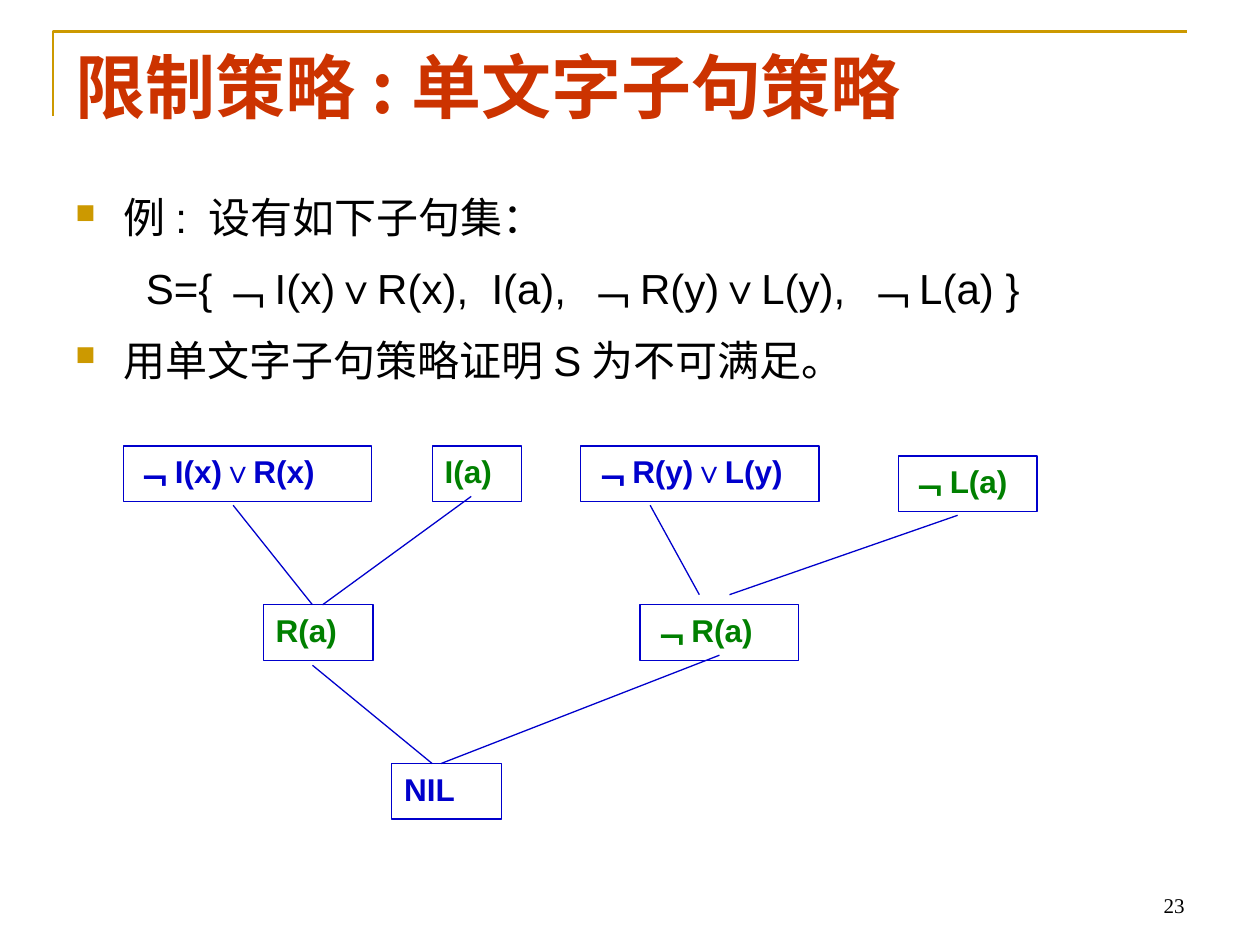
from typing import NamedTuple

from lxml.etree import SubElement
from pptx import Presentation
from pptx.dml.color import RGBColor
from pptx.enum.shapes import MSO_CONNECTOR, MSO_SHAPE
from pptx.enum.text import MSO_ANCHOR, MSO_AUTO_SIZE, PP_ALIGN
from pptx.oxml.ns import qn
from pptx.util import Inches, Pt

BLUE, GREEN, GOLD, RED, BLACK = "0000CC", "008000", "CC9900", "CC3300", "000000"
SANS, HAN, SERIF = "Arial", "Noto Sans CJK SC", "Times New Roman"
HIGH = 0.44


class Clause(NamedTuple):
    text: str
    left: float
    top: float
    width: float
    color: str
    sign: str = ""  # leading sign set in the Han font


class Link(NamedTuple):
    x1: float
    y1: float
    x2: float
    y2: float


class Item(NamedTuple):
    text: str
    bullet: bool


CLAUSES = [
    Clause("﹁I(x)∨R(x)", 0.98, 3.54, 1.97, BLUE),
    Clause("I(a)", 3.43, 3.54, 0.71, GREEN),
    Clause("﹁R(y)∨L(y)", 4.61, 3.54, 1.89, BLUE),
    Clause("﹁L(a)", 7.13, 3.62, 1.1, GREEN),
    Clause("R(a)", 2.09, 4.8, 0.87, GREEN),
    Clause("R(a)", 5.08, 4.8, 1.26, GREEN, "﹁"),
    Clause("NIL", 3.11, 6.06, 0.87, BLUE),
]
LINKS = [
    Link(1.85, 4.01, 2.48, 4.8),
    Link(3.74, 3.94, 2.56, 4.8),
    Link(5.16, 4.01, 5.55, 4.72),
    Link(7.6, 4.09, 5.79, 4.72),
    Link(2.48, 5.28, 3.43, 6.06),
    Link(5.71, 5.2, 3.5, 6.06),
]
ITEMS = [
    Item("例: 设有如下子句集：", True),
    Item("S={﹁I(x)∨R(x),  I(a), ﹁R(y)∨L(y), ﹁L(a) }", False),
    Item("用单文字子句策略证明S为不可满足。", True),
]


def rgb(code: str) -> RGBColor:
    return RGBColor.from_string(code)


def style(para, size: float, name: str, color: str, bold: bool = False) -> None:
    font = para.font
    font.size, font.name, font.bold = Pt(size), name, bold
    font.color.rgb = rgb(color)


def add_text(slide, left: float, top: float, width: float, height: float):
    """Add a wrapping text box and return its frame."""
    box = slide.shapes.add_textbox(
        Inches(left), Inches(top), Inches(width), Inches(height))
    box.text_frame.word_wrap = True
    return box.text_frame


def add_corner(slide) -> None:
    """Draw the gold rule along the top left."""
    build = slide.shapes.build_freeform(Inches(0.42), Inches(0.92), scale=1.0)
    build.add_line_segments(
        [(Inches(0.42), Inches(0.25)), (Inches(9.42), Inches(0.25))], close=False)
    rule = build.convert_to_shape()
    rule.shadow.inherit = False
    rule.fill.background()
    rule.line.color.rgb = rgb(GOLD)
    rule.line.width = Pt(1.5)


def indent(para, bullet: bool) -> None:
    """Hang a gold square bullet, or set the formula further in."""
    props = para._p.get_or_add_pPr()
    props.set("marL", str(Inches(0.38 if bullet else 0.56)))
    props.set("indent", str(Inches(-0.38 if bullet else 0)))
    if bullet:
        marks = [SubElement(props, qn("a:buClr")),
                 SubElement(props, qn("a:buSzPct"), val="65000"),
                 SubElement(props, qn("a:buChar"), char="■")]
        SubElement(marks[0], qn("a:srgbClr"), val=GOLD)


def add_items(slide) -> None:
    frame = add_text(slide, 0.5, 1.47, 9, 5.24)
    for num, item in enumerate(ITEMS):
        para = frame.add_paragraph() if num else frame.paragraphs[0]
        para.text = item.text
        para.space_before = Pt(12)
        indent(para, item.bullet)
        style(para, 24, SANS, BLACK)


def add_clause(slide, clause: Clause) -> None:
    box = slide.shapes.add_shape(
        MSO_SHAPE.RECTANGLE, Inches(clause.left), Inches(clause.top),
        Inches(clause.width), Inches(HIGH))
    box.shadow.inherit = False
    box.fill.background()
    box.line.color.rgb = rgb(BLUE)
    box.line.width = Pt(0.75)
    frame = box.text_frame
    frame.word_wrap = True
    frame.auto_size = MSO_AUTO_SIZE.SHAPE_TO_FIT_TEXT
    frame.vertical_anchor = MSO_ANCHOR.TOP
    para = frame.paragraphs[0]
    para.alignment = PP_ALIGN.LEFT
    if clause.sign:
        sign = para.add_run()
        sign.text = clause.sign
        sign.font.name = HAN
    para.add_run().text = clause.text
    style(para, 18, SANS, clause.color, True)


def add_link(slide, link: Link) -> None:
    line = slide.shapes.add_connector(
        MSO_CONNECTOR.STRAIGHT, *(Inches(value) for value in link))
    line.line.color.rgb = rgb(BLUE)
    line.line.width = Pt(0.75)
    SubElement(line._element.spPr, qn("a:effectLst"))


def main() -> None:
    deck = Presentation()
    deck.slide_width, deck.slide_height = Inches(10), Inches(7.5)
    slide = deck.slides.add_slide(deck.slide_layouts[6])
    add_corner(slide)

    title = add_text(slide, 0.5, 0.3, 9, 1.25).paragraphs[0]
    title.text = "限制策略:单文字子句策略"
    style(title, 40, HAN, RED, True)

    add_items(slide)
    for clause in CLAUSES:
        add_clause(slide, clause)
    for link in LINKS:
        add_link(slide, link)

    frame = add_text(slide, 7.17, 6.83, 2.33, 0.5)
    frame.vertical_anchor = MSO_ANCHOR.BOTTOM
    page = frame.paragraphs[0]
    page.text = "23"
    page.alignment = PP_ALIGN.RIGHT
    style(page, 12, SERIF, BLACK)

    deck.save("out.pptx")


if __name__ == "__main__":
    main()
